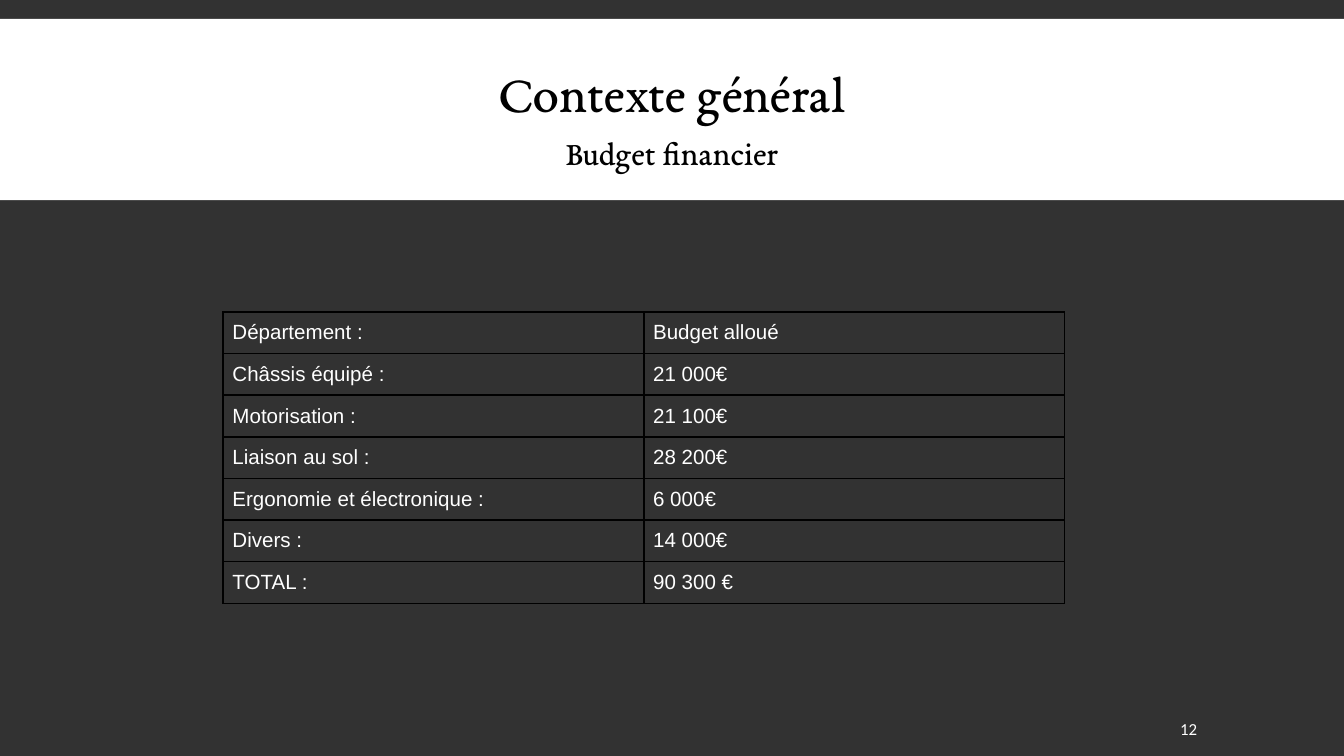
from dataclasses import dataclass

from lxml.etree import SubElement
from pptx import Presentation
from pptx.dml.color import RGBColor
from pptx.enum.shapes import MSO_SHAPE
from pptx.enum.text import MSO_ANCHOR, PP_ALIGN
from pptx.oxml.ns import qn
from pptx.util import Inches, Pt


@dataclass(frozen=True)
class Theme:
    dark: RGBColor = RGBColor(0x32, 0x32, 0x32)
    light: RGBColor = RGBColor(0xFF, 0xFF, 0xFF)
    ink: RGBColor = RGBColor(0, 0, 0)
    heading_font: str = "EB Garamond"
    table_font: str = "Arial"
    number_font: str = "Calibri"
    title_size: int = 28
    subtitle_size: int = 18
    table_size: int = 11
    number_size: int = 9
    border_width: int = 1


class SlideBuilder:
    def __init__(self, slide, theme):
        self.slide = slide
        self.theme = theme
        slide.background.fill.solid()
        slide.background.fill.fore_color.rgb = theme.dark

    def style(self, paragraph, font, size, color):
        paragraph.font.name = font
        paragraph.font.size = Pt(size)
        paragraph.font.color.rgb = color
        paragraph.font.bold = False

    def band(self, left, top, width, height):
        band = self.slide.shapes.add_shape(
            MSO_SHAPE.RECTANGLE, Inches(left), Inches(top), Inches(width), Inches(height))
        band.shadow.inherit = False
        band.fill.solid()
        band.fill.fore_color.rgb = self.theme.light
        band.line.fill.background()

    def text(self, wording, box, insets, font, size, color,
             align=PP_ALIGN.LEFT, anchor=MSO_ANCHOR.TOP):
        frame = self.slide.shapes.add_textbox(*map(Inches, box)).text_frame
        frame.word_wrap = True
        frame.vertical_anchor = anchor
        (frame.margin_left, frame.margin_top,
         frame.margin_right, frame.margin_bottom) = map(Inches, insets)
        paragraph = frame.paragraphs[0]
        paragraph.text = wording
        paragraph.alignment = align
        self.style(paragraph, font, size, color)

    def heading(self, wording, top, size):
        self.text(wording, (0.34, top, 9.32, 0.63), (0.1,) * 4,
                  self.theme.heading_font, size, self.theme.ink, PP_ALIGN.CENTER)

    def borders(self, cell):
        properties = cell._tc.get_or_add_tcPr()
        for side in ("a:lnL", "a:lnR", "a:lnT", "a:lnB"):
            edge = SubElement(properties, qn(side), w=str(Pt(self.theme.border_width)))
            fill = SubElement(edge, qn("a:solidFill"))
            SubElement(fill, qn("a:srgbClr"), val=str(self.theme.ink))

    def table(self, rows, left, top, column_width, row_height, inset, bottom_inset):
        columns = len(rows[0])
        table = self.slide.shapes.add_table(
            len(rows), columns, Inches(left), Inches(top),
            Inches(column_width * columns), Inches(row_height * len(rows))).table
        table.first_row = False
        table.horz_banding = False
        for column in table.columns:
            column.width = Inches(column_width)
        for row, wordings in zip(table.rows, rows):
            row.height = Inches(row_height)
            for cell, wording in zip(row.cells, wordings):
                cell.text = wording
                cell.margin_left = cell.margin_right = cell.margin_top = Inches(inset)
                cell.margin_bottom = Inches(bottom_inset)
                self.style(cell.text_frame.paragraphs[0], self.theme.table_font,
                           self.theme.table_size, self.theme.light)
                self.borders(cell)
                cell.fill.background()


BUDGET = [
    ("Département :", "Budget alloué"),
    ("Châssis équipé :", "21 000€"),
    ("Motorisation :", "21 100€"),
    ("Liaison au sol :", "28 200€"),
    ("Ergonomie et électronique :", "6 000€"),
    ("Divers :", "14 000€"),
    ("TOTAL :", "90 300 €"),
]


def main():
    presentation = Presentation()
    presentation.slide_width = Inches(10)
    presentation.slide_height = Inches(10 * 9 / 16)
    theme = Theme()
    builder = SlideBuilder(
        presentation.slides.add_slide(presentation.slide_layouts[6]), theme)

    builder.band(0, 0.14, 10, 1.35)
    builder.text("12", (8.74, 5.27, 0.78, 0.3), (0.04, 0.04, 0.07, 0.04),
                 theme.number_font, theme.number_size, theme.light,
                 anchor=MSO_ANCHOR.MIDDLE)
    builder.heading("Contexte général", 0.35, theme.title_size)
    builder.heading("Budget financier", 0.88, theme.subtitle_size)
    builder.table(BUDGET, 1.66, 2.32, 3.13, 0.31, 0.07, 0.05)

    presentation.save("out.pptx")


if __name__ == "__main__":
    main()
